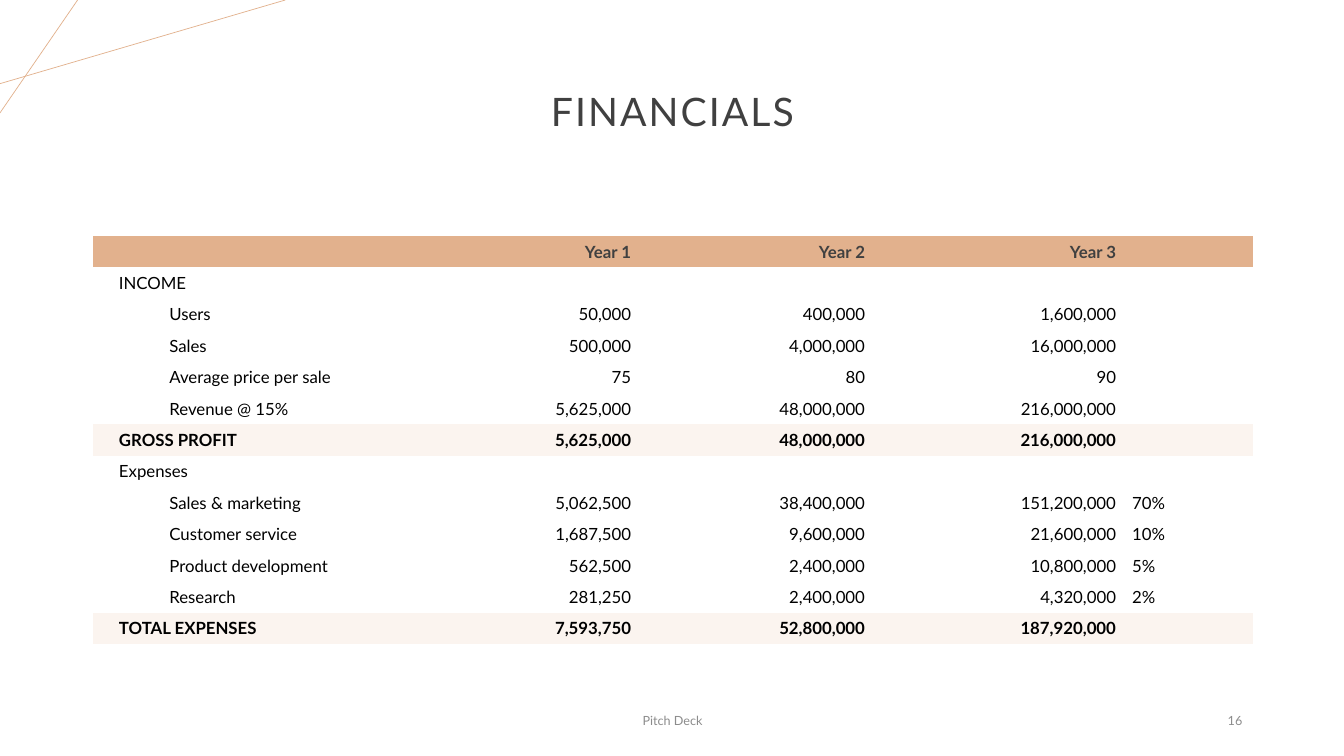
from dataclasses import dataclass

from lxml.etree import SubElement
from pptx import Presentation
from pptx.dml.color import RGBColor as Rgb
from pptx.enum.shapes import MSO_CONNECTOR as Link
from pptx.enum.text import MSO_ANCHOR as Anchor, PP_ALIGN as Align
from pptx.oxml.ns import qn
from pptx.util import Inches, Pt


@dataclass(frozen=True)
class Theme:
    font: str = "Lato"
    accent: str = "E2B18D"
    band: str = "FBF4EF"
    dark: str = "404040"
    ink: str = "000000"
    muted: str = "8C8C8C"
    title: int = 28
    body: int = 12
    small: int = 9


THEME = Theme()
PLAIN = "{2D5ABB26-0587-4C30-8999-92F81FD0307C}"
WIDTHS = (3.54, 1.88, 2.32, 2.49, 1.28)
HEIGHT = 4.05
ROWS = (
    ("head", "", "Year 1", "Year 2", "Year 3", ""),
    ("group", "INCOME", "", "", "", ""),
    ("item", "Users", "50,000", "400,000", "1,600,000", ""),
    ("item", "Sales", "500,000", "4,000,000", "16,000,000", ""),
    ("item", "Average price per sale", "75", "80", "90", ""),
    ("item", "Revenue @ 15%", "5,625,000", "48,000,000", "216,000,000", ""),
    ("total", "GROSS PROFIT", "5,625,000", "48,000,000", "216,000,000", ""),
    ("group", "Expenses", "", "", "", ""),
    ("item", "Sales & marketing", "5,062,500", "38,400,000", "151,200,000", "70%"),
    ("item", "Customer service", "1,687,500", "9,600,000", "21,600,000", "10%"),
    ("item", "Product development", "562,500", "2,400,000", "10,800,000", "5%"),
    ("item", "Research", "281,250", "2,400,000", "4,320,000", "2%"),
    ("total", "TOTAL EXPENSES", "7,593,750", "52,800,000", "187,920,000", ""),
)
FILLS = {"head": THEME.accent, "total": THEME.band}


def style(para, size, color, align, bold=False):
    para.alignment = align
    for run in para.runs:
        run.font.name = THEME.font
        run.font.size = Pt(size)
        run.font.bold = bold
        run.font.color.rgb = Rgb.from_string(color)


def add_line(slide, start, end):
    line = slide.shapes.add_connector(
        Link.STRAIGHT, *map(Inches, start), *map(Inches, end)
    )
    line.line.color.rgb = Rgb.from_string(THEME.accent)
    line.line.width = Pt(0.5)
    SubElement(line._element.spPr, qn("a:effectLst"))


def set_title(slide, text):
    title = slide.shapes.title
    title.left, title.top = Inches(0.92), Inches(0.4)
    title.width, title.height = Inches(11.5), Inches(1.45)
    frame = title.text_frame
    frame.text = text
    frame.vertical_anchor = Anchor.MIDDLE
    para = frame.paragraphs[0]
    para.line_spacing = 0.9
    style(para, THEME.title, THEME.dark, Align.CENTER)
    para.runs[0].font._element.set("spc", "150")


def add_note(slide, text, left, width, align):
    box = slide.shapes.add_textbox(
        Inches(left), Inches(6.95), Inches(width), Inches(0.4)
    )
    frame = box.text_frame
    frame.word_wrap = True
    frame.vertical_anchor = Anchor.MIDDLE
    frame.text = text
    style(frame.paragraphs[0], THEME.small, THEME.muted, align)


def fill_cell(cell, text, kind, col):
    cell.text = text
    cell.vertical_anchor = Anchor.MIDDLE
    cell.margin_left = Inches(0.08 if col else 0.26)
    cell.margin_right = Inches(0.08)
    cell.margin_top = cell.margin_bottom = Inches(0.04)
    if kind in FILLS:
        cell.fill.solid()
        cell.fill.fore_color.rgb = Rgb.from_string(FILLS[kind])
    else:
        cell.fill.background()
    para = cell.text_frame.paragraphs[0]
    align = Align.RIGHT if col in (1, 2, 3) else Align.LEFT
    color = THEME.dark if kind == "head" else THEME.ink
    style(para, THEME.body, color, align, kind in FILLS)
    if not text:
        mark = SubElement(para._p, qn("a:endParaRPr"))
        mark.set("sz", str(THEME.body * 100))
    if kind == "item" and col == 0:
        para.level = 1
        props = para._p.get_or_add_pPr()
        props.set("marL", str(Inches(0.5)))
        props.set("indent", "0")


def add_grid(slide):
    frame = slide.shapes.add_table(
        len(ROWS), len(WIDTHS), Inches(0.92), Inches(2.34),
        Inches(sum(WIDTHS)), Inches(HEIGHT),
    )
    table = frame.table
    table.first_row = table.horz_banding = False
    table._tbl.tblPr.find(qn("a:tableStyleId")).text = PLAIN
    for column, width in zip(table.columns, WIDTHS):
        column.width = Inches(width)
    for row, (kind, *texts) in zip(table.rows, ROWS):
        row.height = Inches(HEIGHT / len(ROWS))
        for col, (cell, text) in enumerate(zip(row.cells, texts)):
            fill_cell(cell, text, kind, col)


def main():
    deck = Presentation()
    deck.slide_width, deck.slide_height = Inches(13.33), Inches(7.5)
    slide = deck.slides.add_slide(deck.slide_layouts[5])
    add_line(slide, (0, 0.83), (2.83, 0))
    add_line(slide, (0.77, 0), (0, 1.12))
    set_title(slide, "FINANCIALS")
    add_note(slide, "Pitch Deck", 4.42, 4.5, Align.CENTER)
    add_note(slide, "16", 9.42, 3, Align.RIGHT)
    add_grid(slide)
    deck.save("out.pptx")


if __name__ == "__main__":
    main()
